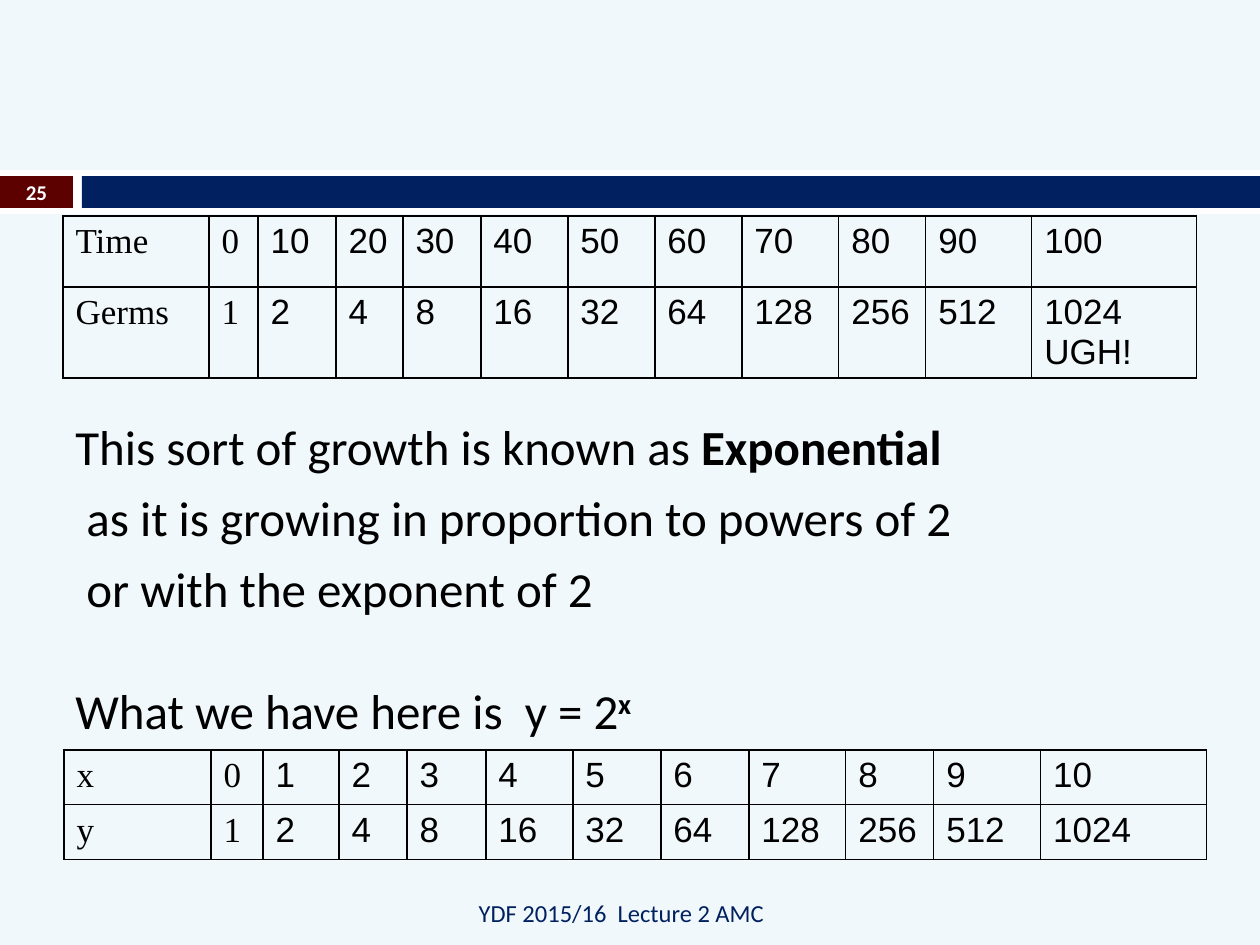
from lxml.etree import SubElement
from pptx import Presentation
from pptx.dml.color import RGBColor
from pptx.enum.shapes import MSO_SHAPE as Shape
from pptx.enum.text import MSO_ANCHOR as Anchor, PP_ALIGN as Align
from pptx.oxml.ns import qn
from pptx.util import Emu, Pt

COLORS = {
    "background": "F1F8FB",
    "white": "FFFFFF",
    "black": "000000",
    "maroon": "5C0000",
    "navy": "002060",
}
PX_PER_INCH = 126


def px(length):
    return Emu(round(length * 914400 / PX_PER_INCH))


def color(name):
    return RGBColor.from_string(COLORS[name])


class SlideBuilder:
    body_font = "Calibri"
    label_font = "Times New Roman"
    value_font = "Arial"
    label_columns = 2

    def __init__(self, page):
        self.page = page
        page.background.fill.solid()
        page.background.fill.fore_color.rgb = color("background")

    def style(self, font, size, name, ink="black", bold=False):
        font.size = Pt(size)
        font.name = name
        font.bold = bold
        font.color.rgb = color(ink)

    def bar(self, left, top, width, height, fill):
        bar = self.page.shapes.add_shape(
            Shape.RECTANGLE, px(left), px(top), px(width), px(height))
        bar.shadow.inherit = False
        bar.fill.solid()
        bar.fill.fore_color.rgb = color(fill)
        bar.line.fill.background()
        return bar

    def text_box(self, left, top, width, height):
        box = self.page.shapes.add_textbox(
            px(left), px(top), px(width), px(height))
        box.text_frame.word_wrap = True
        return box.text_frame

    def caption(self, left, top, width, height, text, size, ink, bold=False):
        frame = self.text_box(left, top, width, height)
        frame.vertical_anchor = Anchor.MIDDLE
        frame.text = text
        para = frame.paragraphs[0]
        para.alignment = Align.CENTER
        self.style(para.runs[0].font, size, self.body_font, ink, bold)

    def body(self, left, top, width, height, lines):
        frame = self.text_box(left, top, width, height)
        for index, (gap, indent, plain, strong, raised) in enumerate(lines):
            para = frame.add_paragraph() if index else frame.paragraphs[0]
            para.space_before = Pt(gap)
            para._p.get_or_add_pPr().set("marL", str(px(indent)))
            for text, bold in ((plain, False), (strong, True)):
                if text:
                    span = para.add_run()
                    span.text = text
                    self.style(span.font, 28, self.body_font, bold=bold)
            if raised:
                span._r.get_or_add_rPr().set("baseline", "30000")

    def border(self, cell):
        properties = cell._tc.get_or_add_tcPr()
        for side in ("a:lnL", "a:lnR", "a:lnT", "a:lnB"):
            line = SubElement(properties, qn(side), w=str(Pt(1)))
            fill = SubElement(line, qn("a:solidFill"))
            SubElement(fill, qn("a:srgbClr"), val=COLORS["black"])

    def table(self, left, top, widths, heights, rows):
        table = self.page.shapes.add_table(
            len(rows), len(widths), px(left), px(top),
            px(sum(widths)), px(sum(heights))).table
        table.first_row = False
        table.horz_banding = False
        for column, width in zip(table.columns, widths):
            column.width = px(width)
        for row, height, values in zip(table.rows, heights, rows):
            row.height = px(height)
            for index, (cell, value) in enumerate(zip(row.cells, values)):
                cell.text_frame.text = str(value)
                is_label = index < self.label_columns
                name = self.label_font if is_label else self.value_font
                span = cell.text_frame.paragraphs[0].runs[0]
                self.style(span.font, 20, name)
                self.border(cell)
                cell.fill.background()


def main():
    deck = Presentation()
    deck.slide_width, deck.slide_height = px(1260), px(945)
    slide = SlideBuilder(deck.slides.add_slide(deck.slide_layouts[6]))

    slide.bar(0, 170, 1260, 44, "white")
    slide.bar(0, 176, 73, 32, "maroon")
    slide.bar(82, 176, 1178, 32, "navy")

    powers = [2 ** exponent for exponent in range(11)]
    slide.table(
        63, 216, [146, 49, 78, 67, 78, 87, 87, 87, 97, 87, 106, 165], [71, 91],
        [["Time", *range(0, 101, 10)],
         ["Germs", *powers[:-1], f"{powers[-1]} UGH!"]])
    slide.body(63, 410, 1133, 362, [
        (0, 0, "This sort of growth is known as ", "Exponential", False),
        (7, 11, "as it is growing in proportion to powers of 2", "", False),
        (7, 11, "or with the exponent of 2", "", False),
        (36, 0, "What we have here is  y = 2", "x", True),
    ])
    slide.table(
        64, 750, [147, 52, 76, 68, 79, 87, 88, 88, 97, 88, 107, 166], [51, 51],
        [["x", *range(11)], ["y", *powers]])

    slide.caption(422, 880, 399, 65, "YDF 2015/16  Lecture 2 AMC", 14, "navy")
    slide.caption(0, 175, 73, 34, "25", 12, "white", bold=True)
    deck.save("out.pptx")


if __name__ == "__main__":
    main()
